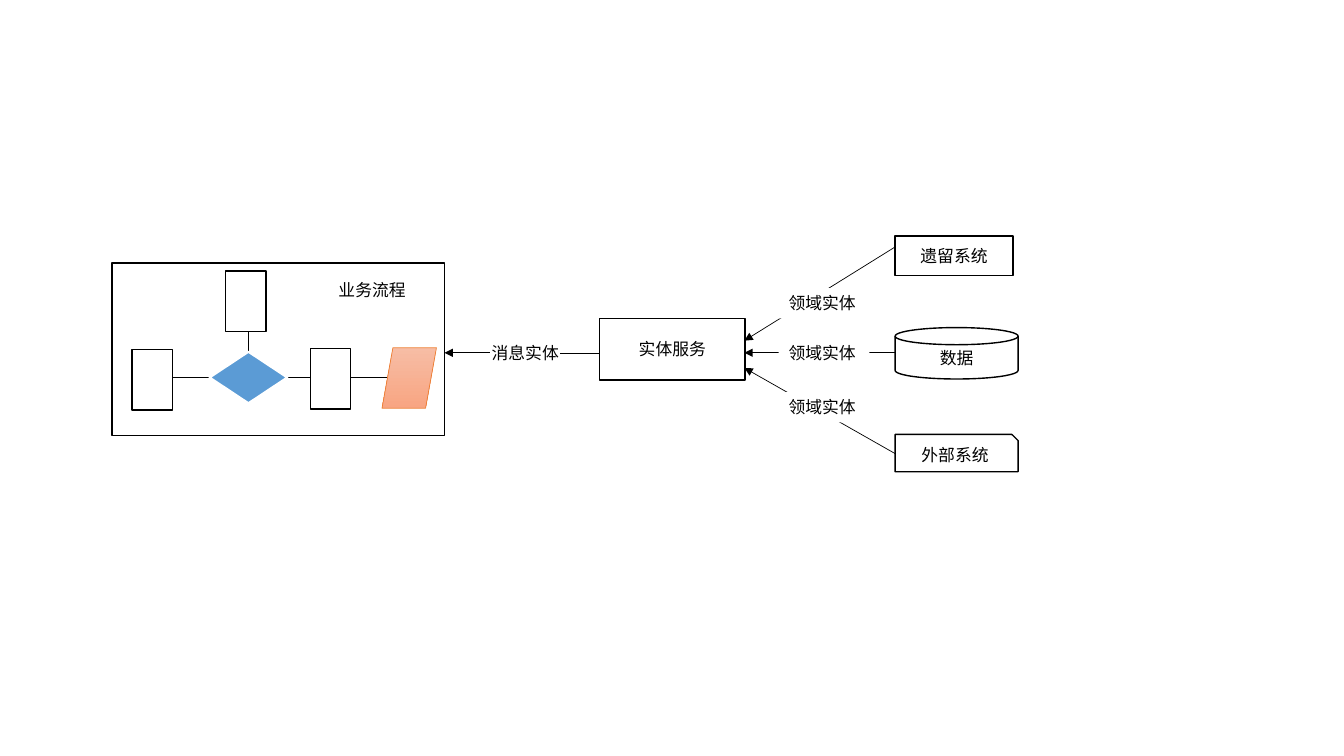
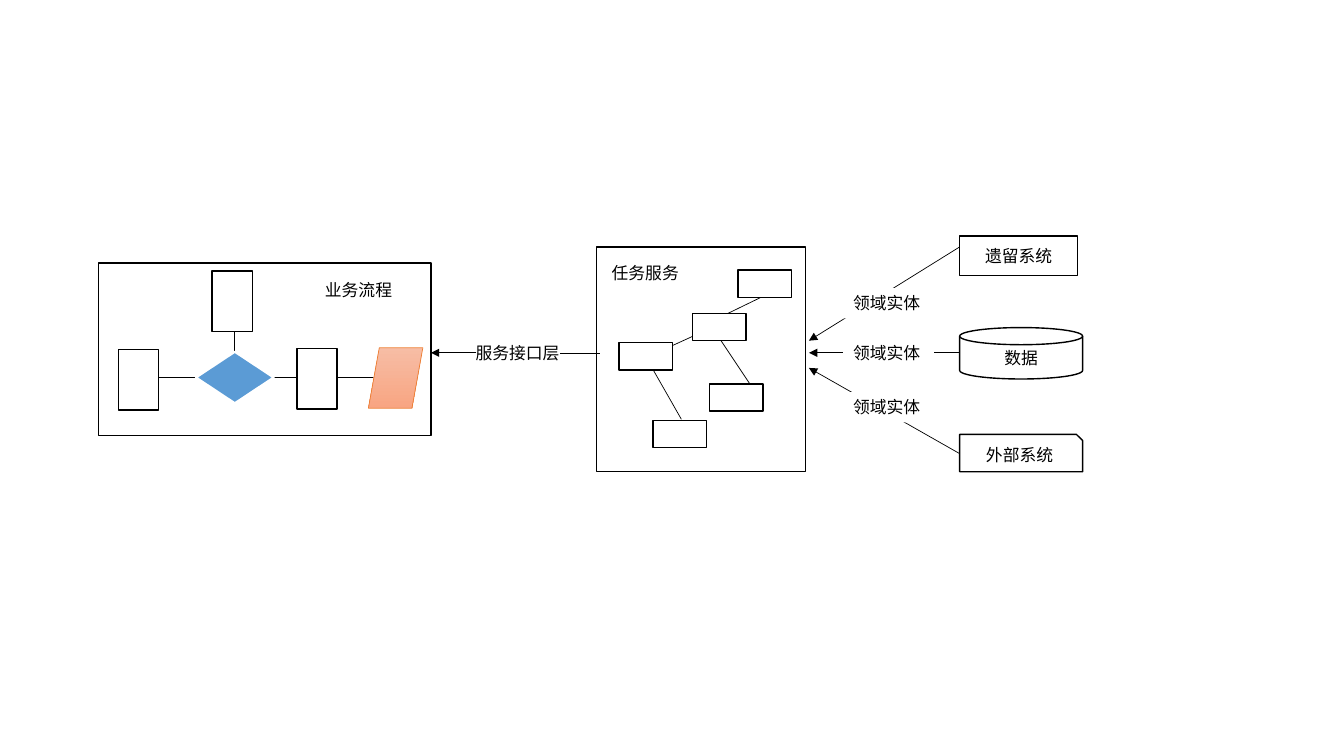
from dataclasses import dataclass

from lxml import etree
from pptx import Presentation
from pptx import util as u
from pptx.dml.color import RGBColor
from pptx.enum import shapes, text
from pptx.oxml import ns

KIND = shapes.MSO_SHAPE
CELL = u.Inches(0.1)
COLUMNS, ROWS = 133.33, 75


@dataclass(frozen=True)
class Theme:
    font: str = "Calibri"
    size: float = 12
    ink: str = "000000"
    paper: str = "FFFFFF"
    decision: str = "5B9BD5"
    data_edge: str = "ED7D31"
    data_fill: tuple = ("F7BDA5", "F8A582")
    outline: float = 1
    thin: float = 0.5
    thick: float = 1.5


THEME = Theme()

PROCESS = {
    "top": 26.1,
    "size": (33, 17.1),
    "title": ("业务流程", 21.5, 1.2),
    "lines": [(2.4, 11.3, 29.8, 11.3), (13.5, 6.1, 13.5, 9.7)],
    "step_size": (4, 6),
    "steps": [(2, 8.6), (19.7, 8.5), (11.3, 0.8)],
    "data": (26.8, 8.4, 5.4, 6),
    "decision": (9.7, 8.8, 7.7, 5.1),
    "inlet": (37.5, 8.9, 33, 8.9),
}
SOURCES = [
    ("遗留系统", KIND.FLOWCHART_PROCESS, 23.4, 11.7, 3.9),
    ("数据", KIND.FLOWCHART_MAGNETIC_DISK, 32.5, 12.2, 5.1),
    ("外部系统", KIND.SNIP_1_RECTANGLE, 43.1, 12.2, 3.7),
]
FEEDS = [(24.5, 33.8, 28.6), (35, 35, 33.5), (45, 36.5, 38.9)]
FEED_TEXT, FEED_REACH, FEED_LABEL = "领域实体", 14.95, 11.55
LABEL_HEIGHT, LABEL_WIDTH = 3, 9
OUTLET = (59.5, 35.1, 55.6, 35.1)

PARTS = {
    "title": ("任务服务", 0.5, 1.1),
    "links": [(6.6, 10.2, 10.1, 8.6), (13, 6.6, 16.5, 4.9),
              (5.6, 12.2, 8.4, 17.1), (12.2, 9.1, 15.2, 13.6)],
    "size": (5.3, 2.7),
    "boxes": [(2.2, 9.5), (5.6, 17.2), (9.5, 6.6), (11.2, 13.6), (14, 2.3)],
}
PAGES = [
    {"process": 11.1, "sources": 88.8, "service": (59.5, 31.6, 14.4, 6.1),
     "service_text": "实体服务", "message": ("消息实体", 47.8, 33.5, 9), "parts": None},
    {"process": 9.75, "sources": 95.2, "service": (59.2, 24.5, 20.7, 22.3),
     "service_text": "", "message": ("服务接口层", 46.2, 33.5, 10.6), "parts": PARTS},
]


def cells(*values):
    return [round(value * CELL) for value in values]


def color(value):
    return RGBColor.from_string(value)


def write(shape, words, align):
    frame = shape.text_frame
    frame.text = words
    frame.word_wrap = True
    para = frame.paragraphs[0]
    para.alignment = align
    for span in para.runs:
        span.font.name = THEME.font
        span.font.size = u.Pt(THEME.size)
        span.font.color.rgb = color(THEME.ink)


def add_box(page, place, words="", kind=KIND.RECTANGLE, fill=THEME.paper,
            edge=THEME.ink, width=THEME.outline):
    box = page.shapes.add_shape(kind, *cells(*place))
    box.shadow.inherit = False
    if isinstance(fill, tuple):
        box.fill.gradient()
        box.fill.gradient_angle = 270
        for stop, shade in zip(box.fill.gradient_stops, fill):
            stop.color.rgb = color(shade)
    else:
        box.fill.solid()
        box.fill.fore_color.rgb = color(fill)
    if edge:
        box.line.color.rgb = color(edge)
        box.line.width = u.Pt(width)
    else:
        box.line.fill.background()
    if words:
        box.text_frame.vertical_anchor = text.MSO_ANCHOR.MIDDLE
        write(box, words, text.PP_ALIGN.CENTER)
    return box


def add_label(page, words, left, top, width=LABEL_WIDTH):
    label = page.shapes.add_textbox(*cells(left, top, width, LABEL_HEIGHT))
    write(label, words, text.PP_ALIGN.LEFT)
    return label


def add_line(page, ends, arrow=False):
    line = page.shapes.add_connector(shapes.MSO_CONNECTOR.STRAIGHT, *cells(*ends))
    line.line.color.rgb = color(THEME.ink)
    line.line.width = u.Pt(THEME.thin)
    if arrow:
        etree.SubElement(line.line._get_or_add_ln(), ns.qn("a:tailEnd"), type="triangle")
    etree.SubElement(line._element.spPr, ns.qn("a:effectLst"))


def shift(left, top, ends):
    x1, y1, x2, y2 = ends
    return left + x1, top + y1, left + x2, top + y2


def within(left, top, place, size):
    return left + place[0], top + place[1], *size


def add_process(page, left):
    top = PROCESS["top"]
    add_box(page, (left, top, *PROCESS["size"]))
    words, x, y = PROCESS["title"]
    add_label(page, words, left + x, top + y)
    for ends in PROCESS["lines"]:
        add_line(page, shift(left, top, ends))
    for step in PROCESS["steps"]:
        add_box(page, within(left, top, step, PROCESS["step_size"]))
    data, decision = PROCESS["data"], PROCESS["decision"]
    add_box(page, within(left, top, data, data[2:]), kind=KIND.FLOWCHART_DATA,
            fill=THEME.data_fill, edge=THEME.data_edge, width=THEME.thin)
    add_box(page, within(left, top, decision, decision[2:]), kind=KIND.FLOWCHART_DECISION,
            fill=THEME.decision, edge=THEME.paper, width=THEME.thick)
    add_line(page, shift(left, top, PROCESS["inlet"]), arrow=True)


def add_sources(page, left):
    for start, end, label_top in FEEDS:
        add_line(page, (left, start, left - FEED_REACH, end), arrow=True)
    for start, end, label_top in FEEDS:
        label = add_label(page, FEED_TEXT, left - FEED_LABEL, label_top)
        label.fill.solid()
        label.fill.fore_color.rgb = color(THEME.paper)
    for words, kind, top, width, height in SOURCES:
        add_box(page, (left, top, width, height), words, kind)


def add_parts(page, left, top, parts):
    words, x, y = parts["title"]
    add_label(page, words, left + x, top + y)
    for ends in parts["links"]:
        add_line(page, shift(left, top, ends))
    for place in parts["boxes"]:
        add_box(page, within(left, top, place, parts["size"]))


def main():
    deck = Presentation()
    deck.slide_width, deck.slide_height = cells(COLUMNS, ROWS)
    for content in PAGES:
        page = deck.slides.add_slide(deck.slide_layouts[6])
        add_process(page, content["process"])
        add_sources(page, content["sources"])
        add_box(page, content["service"], content["service_text"])
        add_label(page, *content["message"])
        add_line(page, OUTLET)
        if content["parts"]:
            add_parts(page, *content["service"][:2], content["parts"])
    deck.save("out.pptx")


if __name__ == "__main__":
    main()
